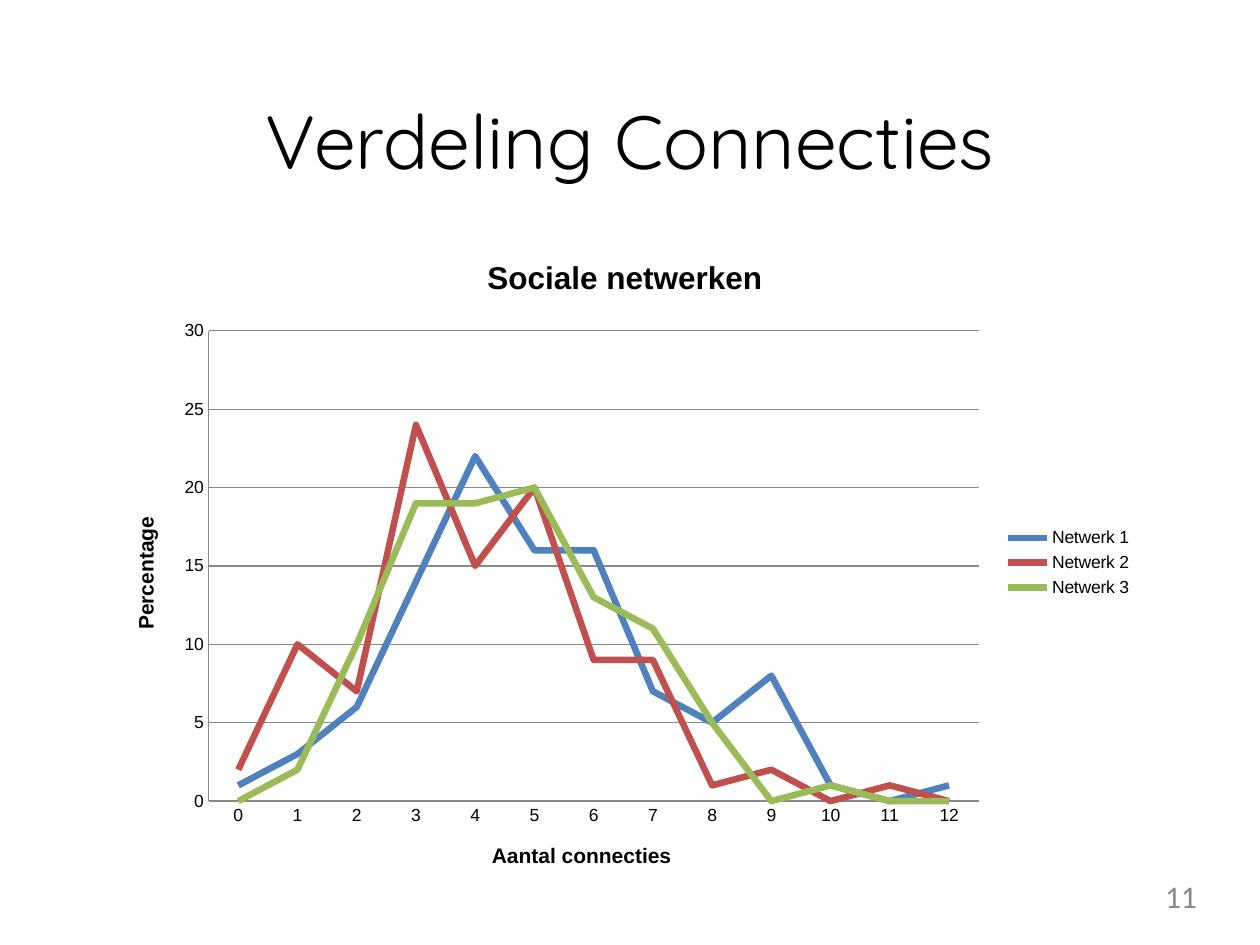
from lxml import etree
from pptx import Presentation
from pptx.chart.data import CategoryChartData
from pptx.dml.color import RGBColor
from pptx.enum.chart import XL_CHART_TYPE, XL_LEGEND_POSITION, XL_TICK_MARK
from pptx.enum.text import MSO_ANCHOR, PP_ALIGN
from pptx.oxml.ns import qn
from pptx.util import Inches, Pt

LINE, RIGHT, NO_TICK = XL_CHART_TYPE.LINE, XL_LEGEND_POSITION.RIGHT, XL_TICK_MARK.NONE
ALIGN_CENTER, ALIGN_RIGHT = PP_ALIGN.CENTER, PP_ALIGN.RIGHT
MIDDLE = MSO_ANCHOR.MIDDLE

BLACK = RGBColor(0x00, 0x00, 0x00)
GRAY = RGBColor(0x88, 0x88, 0x88)
BLUE = RGBColor(0x4F, 0x81, 0xBD)
RED = RGBColor(0xC0, 0x50, 0x4D)
GREEN = RGBColor(0x9B, 0xBB, 0x59)

WIDTH, HEIGHT = Inches(10), Inches(7.5)
TITLE_ONLY = 5

# Regions as shares of the slide: left, top, width, height
TITLE_BOX = (0.106, 0.1, 0.788, 0.096)
CHART_BOX = (0.083, 0.245, 0.826, 0.701)
NUMBER_BOX = (0.72, 0.929, 0.23, 0.039)
# Plot area as shares of the chart
PLOT_BOX = {"x": 0.1, "y": 0.15, "w": 0.74, "h": 0.71}

NETWORKS = [
    ("Netwerk 1", BLUE, (1, 3, 6, 14, 22, 16, 16, 7, 5, 8, 1, 0, 1)),
    ("Netwerk 2", RED, (2, 10, 7, 24, 15, 20, 9, 9, 1, 2, 0, 1, 0)),
    ("Netwerk 3", GREEN, (0, 2, 10, 19, 19, 20, 13, 11, 5, 0, 1, 0, 0)),
]


def place(box):
    left, top, width, height = box
    return (round(left * WIDTH), round(top * HEIGHT),
            round(width * WIDTH), round(height * HEIGHT))


def write(frame, text, size, font="Arial", color=BLACK, bold=False, align=ALIGN_CENTER):
    paragraph = frame.paragraphs[0]
    paragraph.alignment = align
    run = paragraph.add_run()
    run.text = text
    run.font.size, run.font.name, run.font.bold = Pt(size), font, bold
    run.font.color.rgb = color


def prepare_frame(frame):
    frame.margin_left = frame.margin_right = frame.margin_top = frame.margin_bottom = 0
    frame.word_wrap = True
    frame.vertical_anchor = MIDDLE


def add_title(slide, box):
    title = slide.shapes.title
    title.left, title.top, title.width, title.height = place(box)
    prepare_frame(title.text_frame)
    write(title.text_frame, "Verdeling Connecties", 43, font="Quicksand")


def add_page_number(slide, box):
    number = slide.shapes.add_textbox(*place(box))
    prepare_frame(number.text_frame)
    write(number.text_frame, "11", 18, font="Calibri", color=GRAY, align=ALIGN_RIGHT)


def fix_plot_area(chart, shares):
    plot_area = chart._chartSpace.chart.plotArea
    for old in plot_area.findall(qn("c:layout")):
        plot_area.remove(old)
    layout = etree.Element(qn("c:layout"))
    manual = etree.SubElement(layout, qn("c:manualLayout"))
    settings = {"layoutTarget": "inner", "xMode": "edge", "yMode": "edge", **shares}
    for tag, value in settings.items():
        etree.SubElement(manual, qn(f"c:{tag}")).set("val", str(value))
    plot_area.insert(0, layout)


def format_axis(axis, title):
    write(axis.axis_title.text_frame, title, 12, bold=True)
    axis.major_tick_mark = axis.minor_tick_mark = NO_TICK
    axis.format.line.color.rgb = GRAY
    axis.format.line.width = Pt(0.75)


def add_network_chart(slide, box):
    data = CategoryChartData()
    data.categories = [str(count) for count in range(13)]
    for name, _, percentages in NETWORKS:
        data.add_series(name, percentages)
    chart = slide.shapes.add_chart(LINE, *place(box), data).chart
    chart.font.size, chart.font.name = Pt(10), "Arial"
    chart.font.color.rgb = BLACK
    chart.has_title = True
    write(chart.chart_title.text_frame, "Sociale netwerken", 18, bold=True)
    chart.chart_title.include_in_layout = False

    # Axes and gridlines
    format_axis(chart.category_axis, "Aantal connecties")
    percentage = chart.value_axis
    format_axis(percentage, "Percentage")
    percentage.minimum_scale, percentage.maximum_scale, percentage.major_unit = 0, 30, 5
    percentage.has_major_gridlines = True
    percentage.major_gridlines.format.line.color.rgb = GRAY
    percentage.major_gridlines.format.line.width = Pt(0.75)

    # Legend and lines
    chart.has_legend = True
    chart.legend.position = RIGHT
    chart.legend.include_in_layout = False
    chart.plots[0].vary_by_categories = False
    for series, (_, color, _) in zip(chart.plots[0].series, NETWORKS):
        series.smooth = False
        series.format.line.color.rgb = color
        series.format.line.width = Pt(3.75)
    fix_plot_area(chart, PLOT_BOX)


def main():
    deck = Presentation()
    deck.slide_width, deck.slide_height = WIDTH, HEIGHT
    slide = deck.slides.add_slide(deck.slide_layouts[TITLE_ONLY])
    add_title(slide, TITLE_BOX)
    add_network_chart(slide, CHART_BOX)
    add_page_number(slide, NUMBER_BOX)
    deck.save("out.pptx")


if __name__ == "__main__":
    main()
